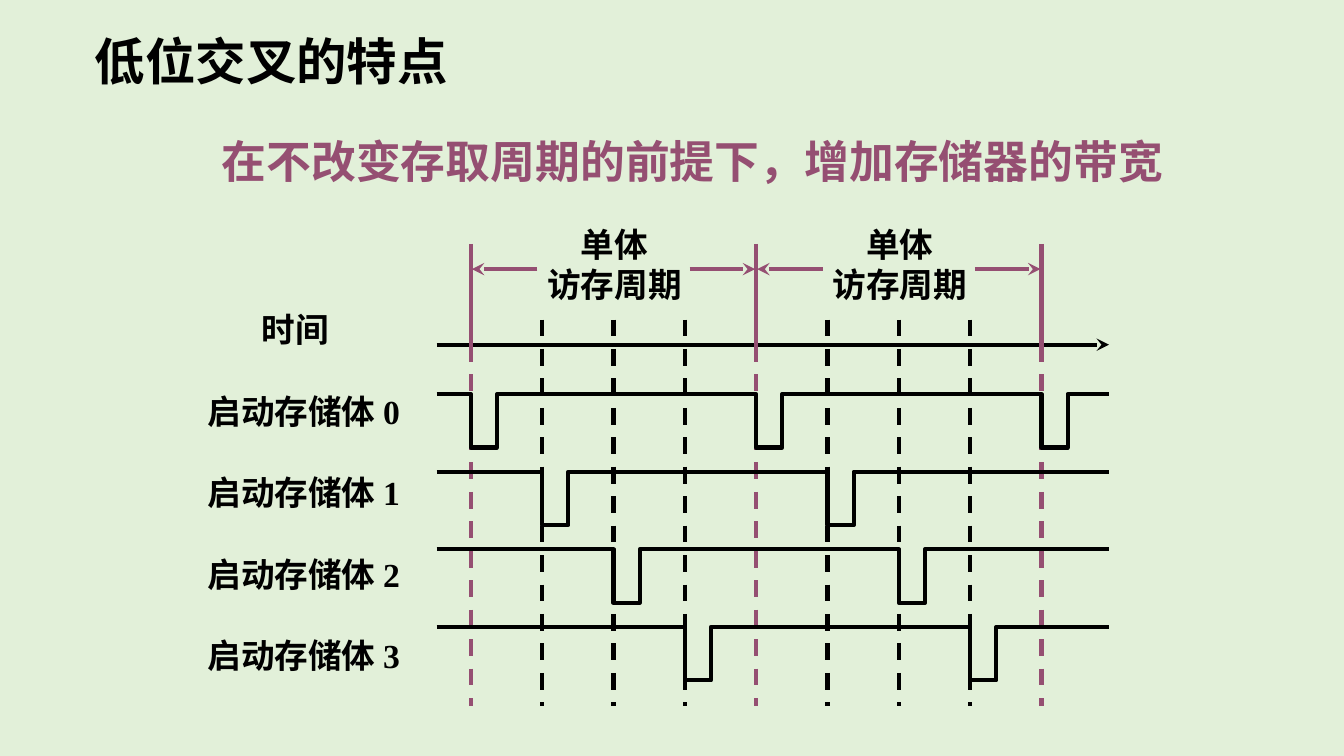
from lxml import etree
from pptx import Presentation
from pptx.dml.color import RGBColor
from pptx.enum.dml import MSO_LINE
from pptx.enum.shapes import MSO_CONNECTOR
from pptx.enum.text import MSO_ANCHOR, PP_ALIGN
from pptx.oxml.ns import qn
from pptx.util import Inches, Pt

STRAIGHT = MSO_CONNECTOR.STRAIGHT
DASH = MSO_LINE.DASH
TOP = MSO_ANCHOR.TOP
LEFT = PP_ALIGN.LEFT
CENTER = PP_ALIGN.CENTER

FONT = "Times New Roman"
BLACK = "000000"
PURPLE = "954F72"
GREEN = "E2F0D9"

BANKS = 4
CYCLES = 2
CYCLE = 2.83
STEP = CYCLE / BANKS


def color(value):
    return RGBColor.from_string(value)


def place(shape, box):
    shape.left, shape.top, shape.width, shape.height = map(Inches, box)


def write(shape, lines, size, ink=BLACK, align=LEFT, wrap=False):
    frame = shape.text_frame
    frame.word_wrap = wrap
    frame.vertical_anchor = TOP
    for index, line in enumerate(lines):
        para = frame.add_paragraph() if index else frame.paragraphs[0]
        para.alignment = align
        span = para.add_run()
        span.text = line
        span.font.name = FONT
        span.font.size = Pt(size)
        span.font.bold = True
        span.font.color.rgb = color(ink)


def add_text(page, box, lines, size, **style):
    write(page.shapes.add_textbox(*map(Inches, box)), lines, size, **style)


def add_line(page, start, end, ink=BLACK, dashed=False, arrow=False):
    line = page.shapes.add_connector(STRAIGHT, *map(Inches, start + end))
    line.line.color.rgb = color(ink)
    line.line.width = Pt(3)
    if dashed:
        line.line.dash_style = DASH
    if arrow:
        tail = etree.SubElement(line.line._get_or_add_ln(), qn("a:tailEnd"))
        tail.set("type", "stealth")
    etree.SubElement(line._element.spPr, qn("a:effectLst"))


def add_headings(page):
    title = page.shapes.title
    place(title, (0.84, 0.25, 3.71, 0.7))
    write(title, ["低位交叉的特点"], 36)
    add_text(page, (2.1, 1.28, 9.57, 0.63),
             ["在不改变存取周期的前提下，增加存储器的带宽"], 32, ink=PURPLE)


def add_guides(page, left, top, bottom):
    for slot in range(BANKS * CYCLES + 1):
        x = left + slot * STEP
        boundary = slot % BANKS == 0
        start = top + 0.25 if boundary else top
        add_line(page, (x, start), (x, bottom),
                 ink=PURPLE if boundary else BLACK, dashed=True)


def add_time_axis(page, left, right, y):
    add_text(page, (2.5, y - 0.4, 0.87, 0.5), ["时间"], 24)
    add_line(page, (left, y), (right, y), arrow=True)


def add_wave(page, left, right, top, pulses):
    depth, width = 0.53, 0.26
    points = []
    for x in pulses:
        points += [(x, top), (x, top + depth),
                   (x + width, top + depth), (x + width, top)]
    points.append((right, top))
    builder = page.shapes.build_freeform(Inches(left), Inches(top))
    builder.add_line_segments(
        [(Inches(x), Inches(y)) for x, y in points], close=False)
    wave = builder.convert_to_shape()
    wave.shadow.inherit = False
    wave.fill.background()
    wave.line.color.rgb = color(BLACK)
    wave.line.width = Pt(3)


def add_banks(page, left, right, first_pulse):
    for bank in range(BANKS):
        add_text(page, (1.96, 3.83 + bank * 0.807, 2.14, 0.5),
                 [f"启动存储体 {bank}"], 24, wrap=True)
        count = CYCLES + (bank == 0)
        pulses = [first_pulse + bank * STEP + cycle * CYCLE
                  for cycle in range(count)]
        add_wave(page, left, right, 3.91 + bank * 0.77, pulses)


def add_cycles(page, left, top):
    arrow_y = top + 0.25
    for cycle in range(CYCLES):
        start = left + cycle * CYCLE
        end = start + CYCLE
        add_text(page, (start + 0.66, top - 0.25, 1.53, 0.91),
                 ["单体", "访存周期"], 24, align=CENTER)
        add_line(page, (start + 0.66, arrow_y), (start + 0.01, arrow_y),
                 ink=PURPLE, arrow=True)
        add_line(page, (end - 0.66, arrow_y), (end - 0.01, arrow_y),
                 ink=PURPLE, arrow=True)
    for boundary in range(CYCLES + 1):
        x = left + boundary * CYCLE
        add_line(page, (x, top), (x, top + 1.08), ink=PURPLE)


def main():
    deck = Presentation()
    deck.slide_width = Inches(13.33)
    deck.slide_height = Inches(7.5)
    page = deck.slides.add_slide(deck.slide_layouts[5])
    page.background.fill.solid()
    page.background.fill.fore_color.rgb = color(GREEN)
    add_headings(page)
    add_guides(page, 4.67, 3.17, 7)
    add_time_axis(page, 4.33, 11, 3.42)
    add_banks(page, 4.33, 11, 4.67)
    add_cycles(page, 4.67, 2.42)
    deck.save("out.pptx")


if __name__ == "__main__":
    main()
